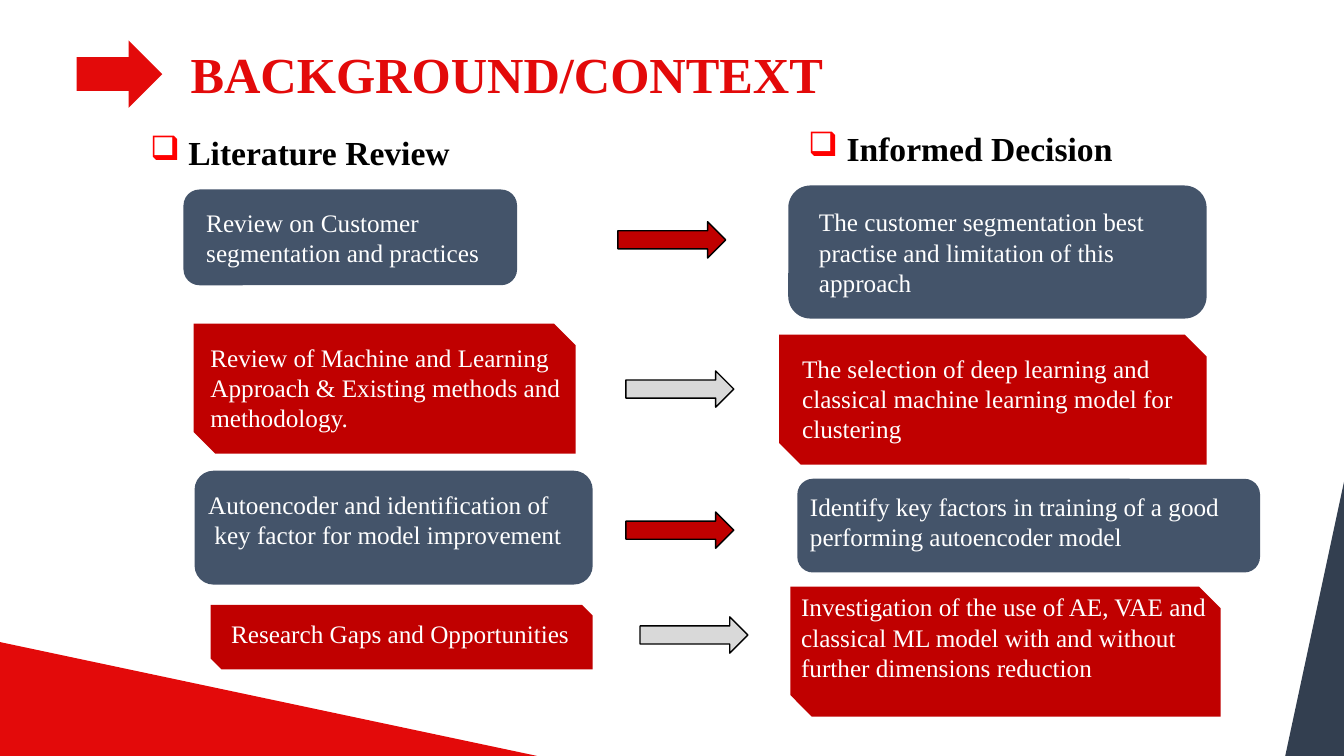
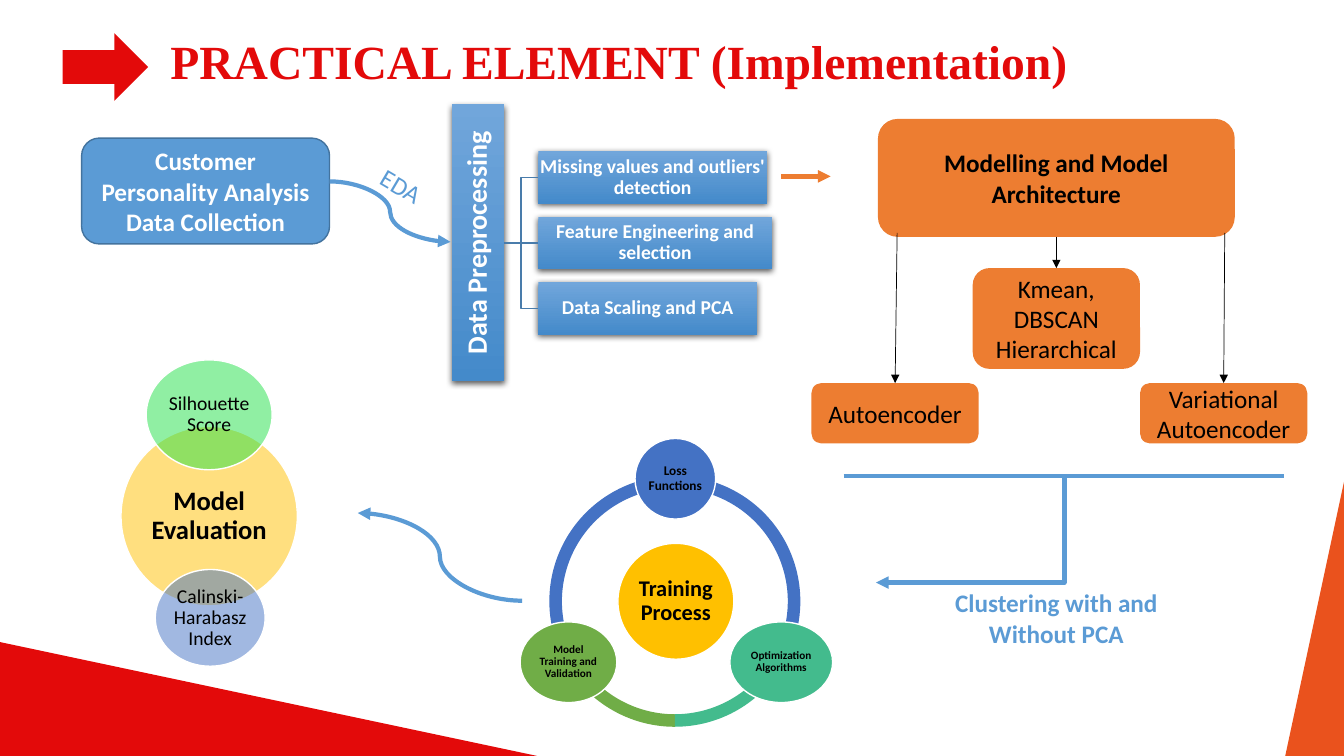
from lxml.etree import SubElement
from pptx import Presentation
from pptx.dml.color import RGBColor
from pptx.enum.shapes import MSO_CONNECTOR as LINK, MSO_SHAPE as SHAPE
from pptx.enum.text import MSO_ANCHOR as ANCHOR, PP_ALIGN as ALIGN
from pptx.oxml.ns import qn
from pptx.util import Inches, Pt

# Lengths are columns and rows of a grid with 0.1 inch cells
CELL = Inches(0.1)
WIDE, HIGH = 133.33, 75

RED = RGBColor(0xE3, 0x0A, 0x0A)
CRIMSON = RGBColor(0xC0, 0x00, 0x00)
BULLET_RED = "FF0000"
SLATE = RGBColor(0x44, 0x54, 0x6A)
NAVY = RGBColor(0x33, 0x3F, 0x50)
VERMILION = RGBColor(0xEA, 0x52, 0x1D)
GRAY = RGBColor(0xD9, 0xD9, 0xD9)
BLACK = RGBColor(0x00, 0x00, 0x00)
WHITE = RGBColor(0xFF, 0xFF, 0xFF)
BLUE = RGBColor(0x5B, 0x9B, 0xD5)
BLUE_EDGE = RGBColor(0x43, 0x73, 0x9E)
BRACKET = RGBColor(0x49, 0x7C, 0xAB)
BLUE_TOP = RGBColor(0x71, 0xA6, 0xDB)
BLUE_BASE = RGBColor(0x44, 0x8A, 0xCA)
ORANGE = RGBColor(0xED, 0x7D, 0x31)
GOLD = RGBColor(0xFF, 0xC0, 0x00)
GREEN = RGBColor(0x70, 0xAD, 0x47)
TEAL = RGBColor(0x43, 0xBB, 0x8D)
INDIGO = RGBColor(0x44, 0x72, 0xC4)
LIME = RGBColor(0x23, 0xE1, 0x48)
SERIF, SANS = "Times New Roman", "Calibri"


def add_box(page, kind, area, fill=None, text="", size=18, color=BLACK, font=SANS,
            bold=False, align=ALIGN.CENTER, anchor=ANCHOR.MIDDLE,
            margins=(1, 0.5, 1, 0.5), spacing=None, edge=None):
    """Add a shape, or a text box when kind is None; margins run left, top, right, bottom."""
    area = [int(length * CELL) for length in area]
    if kind is None:
        box = page.shapes.add_textbox(*area)
    else:
        box = page.shapes.add_shape(kind, *area)
        box.shadow.inherit = False
        if fill is not None:
            box.fill.solid()
            box.fill.fore_color.rgb = fill
        if edge is None:
            box.line.fill.background()
        else:
            box.line.color.rgb = edge
            box.line.width = Pt(1)
    frame = box.text_frame
    frame.word_wrap = True
    frame.vertical_anchor = anchor
    (frame.margin_left, frame.margin_top,
     frame.margin_right, frame.margin_bottom) = [int(gap * CELL) for gap in margins]
    frame.text = text
    for para in frame.paragraphs:
        para.alignment = align
        if spacing:
            para.line_spacing = spacing
        for span in para.runs:
            span.font.name, span.font.size, span.font.bold = font, Pt(size), bold
            span.font.color.rgb = color
    return box


def add_link(page, kind, ends, color, width, arrow=True):
    """Add a connector through ends (x1, y1, x2, y2)."""
    link = page.shapes.add_connector(kind, *[int(length * CELL) for length in ends])
    link.line.color.rgb = color
    link.line.width = Pt(width)
    properties = link._element.spPr
    if arrow:
        SubElement(properties.find(qn("a:ln")), qn("a:tailEnd"), type="triangle")
    SubElement(properties, qn("a:effectLst"))
    return link


deck = Presentation()
deck.slide_width, deck.slide_height = int(WIDE * CELL), int(HIGH * CELL)

# Shared parts: corner wedges, title arrow and title
headings = [
    ("BACKGROUND/CONTEXT", 36, (18.9, 5), (7.6, 4), NAVY),
    ("PRACTICAL ELEMENT (Implementation)", 34, (16.9, 3.8), (6.2, 3.3), VERMILION),
]
pages = []
for title, size, title_spot, arrow_spot, corner_color in headings:
    page = deck.slides.add_slide(deck.slide_layouts[6])
    pages.append(page)
    wedges = [
        (RED, [(0, 63.7), (53.3, HIGH), (0, HIGH)]),
        (corner_color, [(WIDE, 47.8), (WIDE, HIGH), (127.5, HIGH)]),
    ]
    for color, corners in wedges:
        points = [(int(x * CELL), int(y * CELL)) for x, y in corners]
        outline = page.shapes.build_freeform(*points[0])
        outline.add_line_segments(points[1:], close=True)
        wedge = outline.convert_to_shape()
        wedge.shadow.inherit = False
        wedge.fill.solid()
        wedge.fill.fore_color.rgb = color
        wedge.line.fill.background()
    add_box(page, SHAPE.RIGHT_ARROW, (*arrow_spot, 8.5, 6.7), RED)
    add_box(page, None, (*title_spot, 110.2, 7.5), None, title, size, RED, SERIF, True,
            ALIGN.LEFT, ANCHOR.TOP, (0, 0, 0, 0), 0.9)
context, practice = pages

# Slide 1: column headings with a box bullet
for heading, left, top in [("Literature Review", 8.9, 10.6), ("Informed Decision", 74.2, 10.2)]:
    box = add_box(context, None, (left, top, 38, 6.3), None, heading, 24, BLACK, SERIF, True,
                  ALIGN.LEFT, ANCHOR.TOP, spacing=1.5)
    properties = box.text_frame.paragraphs[0]._p.get_or_add_pPr()
    properties.set("marL", str(Inches(0.88)))
    properties.set("indent", str(Inches(-0.38)))
    bullet_color = SubElement(properties, qn("a:buClr"))
    SubElement(bullet_color, qn("a:srgbClr"), val=BULLET_RED)
    SubElement(properties, qn("a:buChar"), char="❑")

# Slide 1: review boxes and decision boxes, row by row: area, left margin, lift, text
rows = [
    [((18.2, 18.8, 33.1, 9.5), 1.8, 0, "Review on Customer segmentation and practices"),
     ((78.2, 18.4, 41.5, 13.2), 2.4, 0,
      "The customer segmentation best practise and limitation of this approach")],
    [((19.2, 32.1, 37.9, 12.9), 0.6, 0.1,
      "Review of Machine and Learning Approach & Existing methods and methodology."),
     ((77.3, 33.2, 42.4, 12.9), 1.2, 0.1,
      "The selection of deep learning and classical machine learning model for clustering")],
    [((19.3, 46.7, 39.5, 11.3), 0.8, 0.8,
      "Autoencoder and identification of\n key factor for model improvement"),
     ((79.1, 47.5, 45.9, 9.3), 0.8, 0.4,
      "Identify key factors in training of a good performing autoencoder model")],
    [((20.9, 60, 37.9, 6.4), 1.5, 0.4, "Research Gaps and Opportunities"),
     ((78.4, 58.2, 42.7, 12.9), 0, 1.45,
      "Investigation of the use of AE, VAE and classical ML model with and without "
      "further dimensions reduction")],
]
arrow_spots = [(61.3, 22), (62.1, 36.8), (62.1, 50.8), (63.5, 61.2)]
row_styles = [(SHAPE.ROUNDED_RECTANGLE, SLATE, CRIMSON),
              (SHAPE.SNIP_2_DIAG_RECTANGLE, CRIMSON, GRAY)]
for index, (row, spot) in enumerate(zip(rows, arrow_spots)):
    kind, fill, arrow_fill = row_styles[index % 2]
    for area, indent, lift, text in row:
        add_box(context, kind, area, fill, text, 18, WHITE, SERIF, align=ALIGN.LEFT,
                margins=(indent, 0, 0, 2 * lift))
    add_box(context, SHAPE.RIGHT_ARROW, (*spot, 10.7, 3.6), arrow_fill, edge=BLACK)

# Slide 2: data collection
add_box(practice, SHAPE.ROUNDED_RECTANGLE, (8.1, 13.7, 24.6, 10.5), BLUE,
        "Customer Personality Analysis Data Collection", color=WHITE, bold=True, edge=BLUE_EDGE)

# Slide 2: preprocessing and its three steps
step_top, step_pitch, step_height = 15, 6.5, 5.2
panels = [("Data Preprocessing", 20, (44.8, 10.35, 5.2, 27.5))]
steps = [("Missing values and outliers' detection", 22.7),
         ("Feature Engineering and selection", 23.2),
         ("Data Scaling and PCA", 21.7)]
for index, (text, width) in enumerate(steps):
    panels.append((text, 14, (53.4, step_top + index * step_pitch, width, step_height)))
panel_boxes = []
for text, size, area in panels:
    box = add_box(practice, SHAPE.RECTANGLE, area, None, text, size, WHITE, bold=True,
                  margins=(0.1, 0.1, 0.1, 0.1), spacing=0.9)
    box.fill.gradient()
    box.fill.gradient_angle = 270
    for stop, color in zip(box.fill.gradient_stops, (BLUE_TOP, BLUE_BASE)):
        stop.color.rgb = color
    effects = box._element.spPr.find(qn("a:effectLst"))
    shadow = SubElement(effects, qn("a:outerShdw"), blurRad=str(Pt(4.5)), dist=str(Pt(1.5)),
                        dir="5400000", algn="ctr", rotWithShape="0")
    shade = SubElement(shadow, qn("a:srgbClr"), val="000000")
    SubElement(shade, qn("a:alpha"), val="63000")
    panel_boxes.append(box)
trunk, *step_boxes = panel_boxes
trunk.text_frame._txBody.bodyPr.set("vert", "vert270")
for box, kind in zip(step_boxes, (LINK.ELBOW, LINK.STRAIGHT, LINK.ELBOW)):
    branch = add_link(practice, kind, (50, 24.1, 53.4, 24.1), BRACKET, 1, arrow=False)
    branch.begin_connect(trunk, 3)
    branch.end_connect(box, 1)

# Slide 2: models
models = [
    ("Modelling and Model Architecture", (87.1, 11.8, 35.4, 11.7), True),
    ("Kmean, DBSCAN\nHierarchical", (96.5, 26.6, 16.6, 10), False),
    ("Autoencoder", (80.5, 38, 16.6, 6), False),
    ("Variational Autoencoder", (113.1, 38, 16.6, 6), False),
]
architecture, *model_boxes = [
    add_box(practice, SHAPE.ROUNDED_RECTANGLE, area, ORANGE, text, bold=bold)
    for text, area, bold in models]
for box, start in zip(model_boxes, [(104.8, 23.5), (89, 23.1), (121.5, 23.1)]):
    arrow = add_link(practice, LINK.STRAIGHT, (*start, *start), BLACK, 0.5)
    if box is model_boxes[0]:
        arrow.begin_connect(architecture, 2)
    arrow.end_connect(box, 0)

# Slide 2: training cycle, arcs given by start and end angle
for start, end, color in [(90, 162, GREEN), (18, 90, TEAL), (162, 18, INDIGO)]:
    arc = add_box(practice, SHAPE.BLOCK_ARC, (54.5, 47.2, 24.9, 24.9), color)
    for index, value in enumerate((start * 0.6, end * 0.6, 0.05)):
        arc.adjustments[index] = value

# Slide 2: circles of the training cycle and of the evaluation, with opacity in percent
circles = [
    ("Training Process", 16, True, (61.3, 53.9, 11.5, 11.5), GOLD, 100),
    ("Loss Functions", 9.5, True, (63, 43.5, 8, 8), INDIGO, 100),
    ("Optimization Algorithms", 8, True, (72.4, 61.7, 10.2, 8), TEAL, 100),
    ("Model Training and Validation", 8, True, (51.6, 61.7, 9.6, 8), GREEN, 100),
    ("Model Evaluation", 19, True, (12, 42.3, 17.5, 17.8), GOLD, 50),
    ("Silhouette Score", 14, False, (14.5, 35.7, 12.5, 10.9), LIME, 50),
    ("Calinski-Harabasz Index", 14, False, (15.4, 56.5, 10.9, 9.6), INDIGO, 50),
]
for text, size, bold, area, fill, opacity in circles:
    circle = add_box(practice, SHAPE.OVAL, area, fill, text, size, bold=bold, edge=WHITE,
                     margins=(0.15, 0.15, 0.15, 0.15), spacing=0.9)
    if opacity < 100:
        tint = circle._element.spPr.find(qn("a:solidFill")).find(qn("a:srgbClr"))
        SubElement(tint, qn("a:alpha"), val=str(opacity * 1000))

# Slide 2: flow between the stages
add_link(practice, LINK.STRAIGHT, (77.5, 17.5, 82.4, 17.5), ORANGE, 3)
add_link(practice, LINK.CURVE, (32.7, 18, 44.7, 24), BLUE, 3)
add_link(practice, LINK.CURVE, (51.8, 59.6, 35.5, 50.9), BLUE, 3)
add_link(practice, LINK.STRAIGHT, (83.7, 47.2, 127.4, 47.2), BLUE, 3, arrow=False)
descent = add_link(practice, LINK.ELBOW, (105.6, 47.2, 86.9, 57.8), BLUE, 3)
guides = descent._element.spPr.find(qn("a:prstGeom")).get_or_add_avLst()
SubElement(guides, qn("a:gd"), name="adj1", fmla="val 0")

# Slide 2: flow labels
label = add_box(practice, None, (36.4, 17.7, 11.1, 4), None, "EDA", color=BLUE,
                align=ALIGN.LEFT, anchor=ANCHOR.TOP)
label.rotation = 30.6
add_box(practice, None, (92.3, 57.8, 25, 7.1), None, "Clustering with and\nWithout PCA",
        color=BLUE, bold=True, anchor=ANCHOR.TOP)

deck.save("out.pptx")
